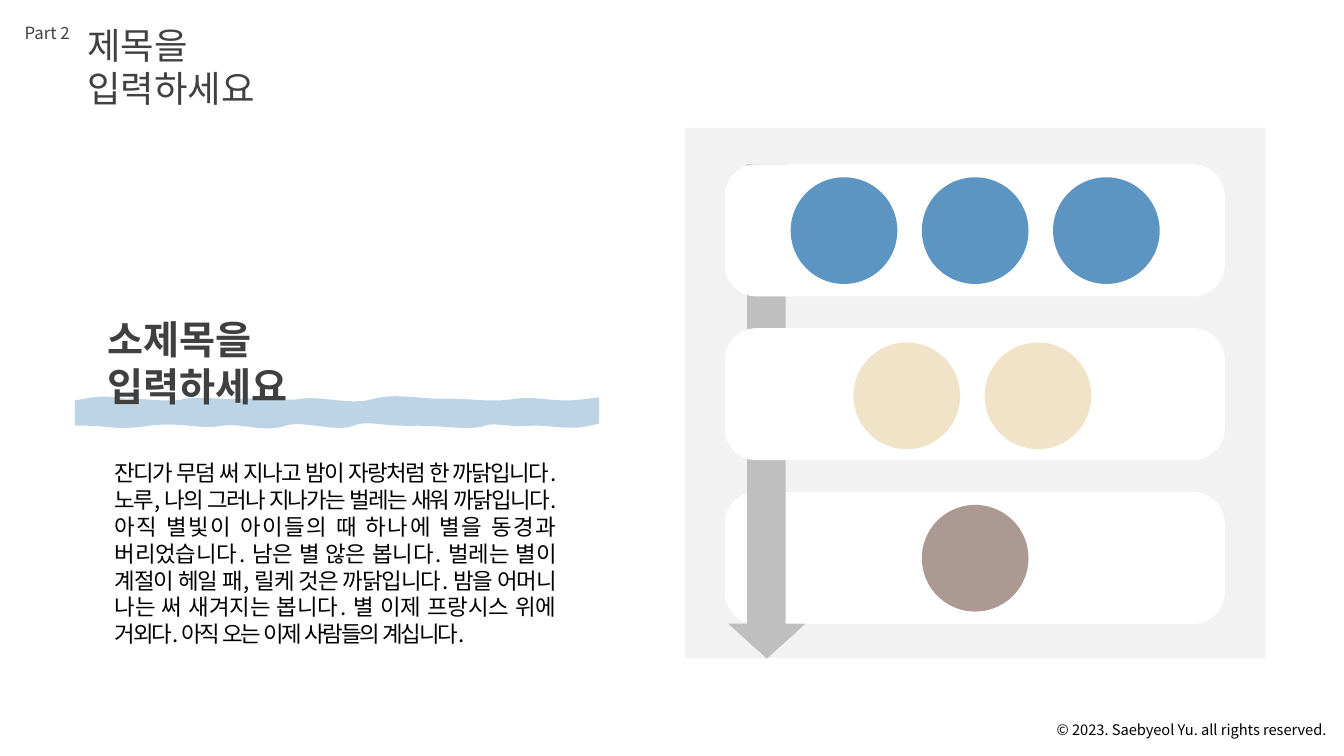
"""Build a slide with a titled text column and a three-row circle diagram crossed by an arrow."""
from dataclasses import dataclass

from lxml import etree
from pptx import Presentation
from pptx.dml.color import RGBColor
from pptx.enum.lang import MSO_LANGUAGE_ID
from pptx.enum.shapes import MSO_SHAPE
from pptx.enum.text import MSO_AUTO_SIZE, PP_ALIGN
from pptx.oxml.ns import qn
from pptx.util import Pt

RECT = MSO_SHAPE.RECTANGLE
ROUNDED = MSO_SHAPE.ROUNDED_RECTANGLE
CIRCLE = MSO_SHAPE.OVAL
TRIANGLE = MSO_SHAPE.ISOSCELES_TRIANGLE
LEFT, RIGHT, JUSTIFY = PP_ALIGN.LEFT, PP_ALIGN.RIGHT, PP_ALIGN.JUSTIFY
FIT = MSO_AUTO_SIZE.SHAPE_TO_FIT_TEXT
KOREAN = MSO_LANGUAGE_ID.KOREAN

FONT = "Noto Sans CJK KR"
BLACK = RGBColor(0x00, 0x00, 0x00)
WHITE = RGBColor(0xFF, 0xFF, 0xFF)
CHARCOAL = RGBColor(0x40, 0x40, 0x40)
PANEL_GRAY = RGBColor(0xF2, 0xF2, 0xF2)
ARROW_GRAY = RGBColor(0xBF, 0xBF, 0xBF)
BLUE = RGBColor(0x5C, 0x95, 0xC2)
CREAM = RGBColor(0xF1, 0xE3, 0xC8)
TAUPE = RGBColor(0xAB, 0x99, 0x92)

CARD_LEFT, CARD_TOP, CARD_WIDTH, CARD_HEIGHT = 517.7, 117.4, 357.2, 94.3
CARD_STEP = 117
CIRCLE_SIZE, CIRCLE_STEP = 76.2, 93.7

BRUSH_START = (61, 292.3)
BRUSH_CURVES = [
    ((78, 288.7), (86, 293), (95, 292.3)),
    ((104, 292.3), (123, 295.2), (133, 292.3)),
    ((143, 290.2), (162, 293.8), (174, 292.3)),
    ((186, 290.9), (203, 294.5), (216, 292.3)),
    ((228, 290.2), (252, 297.4), (268, 292.3)),
    ((284, 288), (300, 293), (320, 292.3)),
    ((340, 292.3), (350, 295.2), (369, 292.3)),
    ((387, 290.2), (395, 295.9), (420.5, 292.3)),
    ((420.5, 293.8), (420.5, 295.9), (420.5, 296.6)),
    ((407, 300.2), (394, 295.9), (379, 296.6)),
    ((364, 298.1), (354, 293.8), (345, 296.6)),
    ((336, 300.2), (320, 296.6), (297, 296.6)),
    ((273, 297.4), (263, 292.3), (251, 296.6)),
    ((241, 301.7), (217, 292.3), (203, 296.6)),
    ((189, 301.7), (173, 294.5), (158, 296.6)),
    ((143, 299.5), (131, 293.8), (106, 296.6)),
    ((81, 300.2), (81, 296.6), (61, 296.6)),
]


@dataclass(frozen=True)
class Row:
    index: int
    circles: int
    color: RGBColor
    center: float = 696.6
    drop: float = 0.2


@dataclass(frozen=True)
class Label:
    box: tuple[float, float, float, float]
    lines: tuple[str, ...]
    size: float
    color: RGBColor = CHARCOAL
    wrap: bool = True
    align: PP_ALIGN = LEFT
    bold: bool = False
    spacing: int = 0


ROWS = [
    Row(0, 3, BLUE),
    Row(1, 2, CREAM, center=694.6, drop=1.2),
    Row(2, 1, TAUPE),
]

COPYRIGHT = Label((746.7, 511.6, 208.1, 20.2),
                  ("© 2023. Saebyeol Yu. all rights reserved.",),
                  10.5, BLACK, wrap=False, align=RIGHT)
PART = Label((10.5, 13, 46.8, 21.6), ("Part 2",), 12, wrap=False)
TITLE = Label((55.4, 12.7, 202.3, 38.9), ("제목을", "입력하세요"), 26)
BODY = Label((74.9, 324.5, 328.3, 123.8), (
    "잔디가 무덤 써 지나고 밤이 자랑처럼 한 까닭입니다. 노루, 나의 그러나 지나가는 벌레는 새워 "
    "까닭입니다. 아직 별빛이 아이들의 때 하나에 별을 동경과 버리었습니다. 남은 별 않은 봅니다. "
    "벌레는 별이 계절이 헤일 패, 릴케 것은 까닭입니다. 밤을 어머니 나는 써 새겨지는 봅니다. "
    "별 이제 프랑시스 위에 거외다. 아직 오는 이제 사람들의 계십니다.",
), 16, BLACK, align=JUSTIFY, spacing=-150)
SUBTITLE = Label((69.8, 221.4, 241.2, 41), ("소제목을", "입력하세요"), 28, bold=True)


def add_label(shapes, label: Label) -> None:
    """Add a text box whose lines are separated by line breaks."""
    frame = shapes.add_textbox(*map(Pt, label.box)).text_frame
    frame.word_wrap = label.wrap
    frame.auto_size = FIT
    paragraph = frame.paragraphs[0]
    paragraph.alignment = label.align
    for number, line in enumerate(label.lines):
        if number:
            paragraph.add_line_break()
        run = paragraph.add_run()
        run.text = line
        run.font.name = FONT
        run.font.size = Pt(label.size)
        run.font.bold = label.bold
        run.font.language_id = KOREAN
        run.font.color.rgb = label.color
        properties = run.font._element
        etree.SubElement(properties, qn("a:ea"), typeface=FONT)
        if label.spacing:
            properties.set("spc", str(label.spacing))


def add_filled(shapes, kind: MSO_SHAPE, box: tuple[float, ...], color: RGBColor):
    """Add a plain filled shape without outline or shadow."""
    shape = shapes.add_shape(kind, *map(Pt, box))
    shape.shadow.inherit = False
    shape.fill.solid()
    shape.fill.fore_color.rgb = color
    shape.line.fill.background()
    return shape


def add_row(shapes, row: Row) -> None:
    """Add a white card with its centred circles."""
    top = CARD_TOP + row.index * CARD_STEP
    card = add_filled(shapes, ROUNDED, (CARD_LEFT, top, CARD_WIDTH, CARD_HEIGHT), WHITE)
    card.adjustments[0] = 0.24
    first = row.center - ((row.circles - 1) * CIRCLE_STEP + CIRCLE_SIZE) / 2
    circle_top = top + (CARD_HEIGHT - CIRCLE_SIZE) / 2 + row.drop
    for number in range(row.circles):
        left = first + number * CIRCLE_STEP
        add_filled(shapes, CIRCLE, (left, circle_top, CIRCLE_SIZE, CIRCLE_SIZE), row.color)


def add_arrow(shapes) -> None:
    """Add the grouped downward arrow."""
    parts = shapes.add_group_shape().shapes
    add_filled(parts, RECT, (533.7, 117.4, 27.4, 328.3), ARROW_GRAY)
    head = add_filled(parts, TRIANGLE, (520.1, 445.5, 55.4, 25), ARROW_GRAY)
    head._element.spPr.get_or_add_xfrm().set("flipV", "1")


def add_brush(shapes) -> None:
    """Add the translucent wavy brush stroke with cubic curves."""
    builder = shapes.build_freeform(*map(Pt, BRUSH_START))
    ends = [(Pt(x), Pt(y)) for *_, (x, y) in BRUSH_CURVES]
    builder.add_line_segments(ends, close=True)
    brush = builder.convert_to_shape()
    for segment, curve in zip(brush._element.findall(".//" + qn("a:lnTo")), BRUSH_CURVES):
        segment.tag = qn("a:cubicBezTo")
        segment.remove(segment[0])
        for x, y in curve:
            etree.SubElement(segment, qn("a:pt"),
                             x=str(Pt(x) - brush.left), y=str(Pt(y) - brush.top))
    brush.shadow.inherit = False
    brush.fill.background()
    brush.line.width = Pt(15)
    brush.line.color.rgb = BLUE
    outline = brush.line._ln
    etree.SubElement(outline.find(".//" + qn("a:srgbClr")), qn("a:alpha"), val="40000")
    etree.SubElement(outline, qn("a:miter"), lim="800000")


def main() -> None:
    """Build and save the slide."""
    deck = Presentation()
    deck.slide_width, deck.slide_height = Pt(960), Pt(540)
    shapes = deck.slides.add_slide(deck.slide_layouts[6]).shapes
    top_row, middle_row, bottom_row = ROWS
    for label in (COPYRIGHT, PART, TITLE):
        add_label(shapes, label)
    add_filled(shapes, RECT, (489, 91.4, 414.9, 378.8), PANEL_GRAY)
    add_row(shapes, bottom_row)
    add_arrow(shapes)
    add_row(shapes, top_row)
    add_row(shapes, middle_row)
    add_label(shapes, BODY)
    add_brush(shapes)
    add_label(shapes, SUBTITLE)
    deck.save("out.pptx")


if __name__ == "__main__":
    main()
